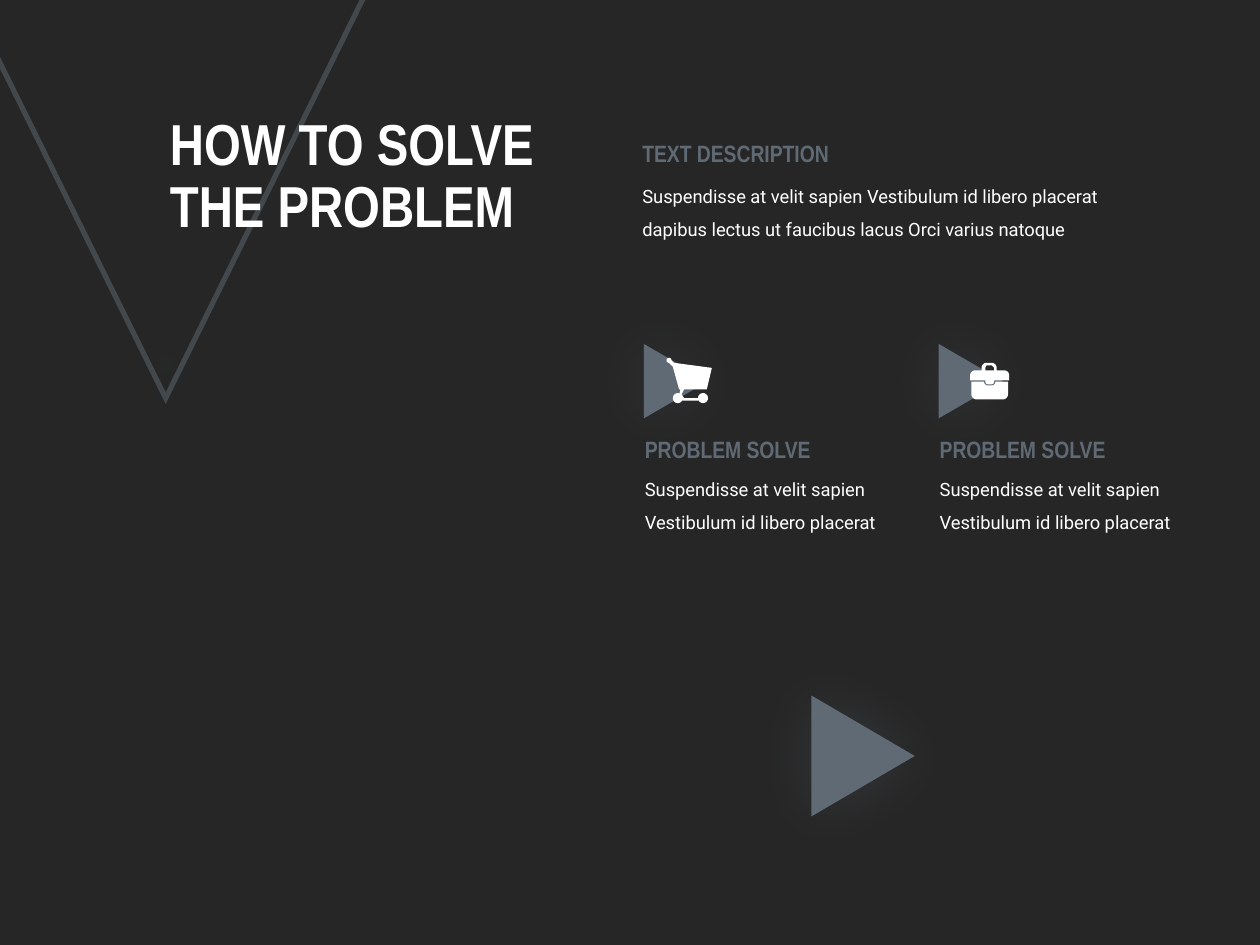
from math import cos, radians, sin

from lxml.etree import SubElement
from pptx import Presentation
from pptx.dml.color import RGBColor
from pptx.enum.shapes import MSO_SHAPE
from pptx.enum.text import MSO_ANCHOR
from pptx.oxml.ns import qn
from pptx.util import Inches, Pt

DARK = RGBColor(0x26, 0x26, 0x26)
SLATE = RGBColor(0x60, 0x6A, 0x74)
WHITE = RGBColor(0xFF, 0xFF, 0xFF)
HEADING_FONT = "Arial Narrow"
BODY_FONT = "Roboto"


def arc(cx, cy, radius, start, end, steps=8):
    """Points along an arc; angles in degrees, clockwise from the right."""
    angles = [radians(start + (end - start) * i / steps) for i in range(steps + 1)]
    return [(cx + radius * cos(a), cy + radius * sin(a)) for a in angles]


def add_alpha(color, percent):
    SubElement(color, qn("a:alpha"), val=str(percent * 1000))


class Deck:
    def __init__(self, prs):
        self.slide = prs.slides.add_slide(prs.slide_layouts[6])
        self.shapes = self.slide.shapes
        fill = self.slide.background.fill
        fill.solid()
        fill.fore_color.rgb = DARK

    def text(self, x, y, w, h, lines, size, font, color=WHITE, bold=False,
             spacing=None, anchor=MSO_ANCHOR.TOP):
        tf = self.shapes.add_textbox(Inches(x), Inches(y), Inches(w), Inches(h)).text_frame
        tf.word_wrap = True
        tf.vertical_anchor = anchor
        p = tf.paragraphs[0]
        p.line_spacing = spacing
        for i, line in enumerate(lines):
            if i:
                p.add_line_break()
            r = p.add_run()
            r.text = line
            r.font.size = Pt(size)
            r.font.name = font
            r.font.bold = bold
            r.font.color.rgb = color

    def heading(self, x, y, w, text):
        self.text(x, y, w, 0.33, [text], 13.5, HEADING_FONT, SLATE, bold=True)

    def body(self, x, y, w, text):
        self.text(x, y, w, 0.6, [text], 10.5, BODY_FONT, spacing=1.5)

    def triangle(self, x, y, w, h, rotation=90, outlined=False):
        sp = self.shapes.add_shape(
            MSO_SHAPE.ISOSCELES_TRIANGLE, Inches(x), Inches(y), Inches(w), Inches(h))
        sp.rotation = rotation
        if outlined:
            sp.fill.background()
            sp.line.color.rgb = SLATE
            sp.line.width = Pt(3)
            ln = sp._element.spPr.find(qn("a:ln"))
            add_alpha(ln.find(".//" + qn("a:srgbClr")), 50)
            SubElement(ln, qn("a:miter"), lim="800000")
        else:
            sp.fill.solid()
            sp.fill.fore_color.rgb = SLATE
            sp.line.fill.background()
        self.glow(sp)

    def glow(self, sp):
        """Soft, centred shadow."""
        sp.shadow.inherit = False
        effects = sp._element.spPr.find(qn("a:effectLst"))
        shadow = SubElement(effects, qn("a:outerShdw"), blurRad=str(Pt(35)),
                            dist="0", dir="0", algn="ctr", rotWithShape="0")
        add_alpha(SubElement(shadow, qn("a:srgbClr"), val=str(SLATE)), 25)

    def icon(self, *contours):
        """White freeform; contours after the first are holes."""
        first, *holes = [[(Inches(x), Inches(y)) for x, y in c] for c in contours]
        builder = self.shapes.build_freeform(*first[0])
        builder.add_line_segments(first[1:], close=True)
        for hole in holes:
            builder.move_to(*hole[0])
            builder.add_line_segments(hole[1:], close=True)
        sp = builder.convert_to_shape()
        sp.fill.solid()
        sp.fill.fore_color.rgb = WHITE
        sp.line.fill.background()
        sp.shadow.inherit = False
        return sp

    def briefcase(self):
        base = self.icon(
            [(7.71, 3.03)]
            + arc(7.84, 3.03, 0.03, 180, 90) + arc(7.87, 3.03, 0.03, 90, 0)
            + [(8, 3.03)]
            + arc(7.96, 3.13, 0.04, 0, 90) + arc(7.75, 3.13, 0.04, 90, 180))
        lid = self.icon(
            arc(7.97, 2.98, 0.04, 0, -90) + [(7.91, 2.94)]
            + arc(7.87, 2.92, 0.04, 0, -90) + arc(7.83, 2.92, 0.04, 270, 180)
            + [(7.79, 2.94)] + arc(7.74, 2.98, 0.04, 270, 180)
            + [(7.7, 3.02), (7.82, 3.02)]
            + arc(7.84, 3.03, 0.02, 180, 90) + arc(7.87, 3.03, 0.02, 90, 0)
            + [(7.89, 3.02), (8.01, 3.02)],
            [(7.82, 2.94), (7.82, 2.92), (7.83, 2.9),
             (7.87, 2.9), (7.89, 2.92), (7.89, 2.94)])
        self.shapes.add_group_shape([base, lid])

    def cart(self):
        left_wheel = arc(5.38, 3.16, 0.04, 25, 290, 16)
        knob = arc(5.31, 2.86, 0.02, 90, 360, 12)
        right_wheel = arc(5.58, 3.16, 0.04, 180, 515, 16)
        self.icon(
            left_wheel + [(5.4, 3.09), (5.39, 3.09), (5.34, 2.91)]
            + knob
            + [(5.35, 2.88), (5.65, 2.92), (5.61, 3.09), (5.43, 3.09),
               (5.41, 3.13), (5.43, 3.16)]
            + right_wheel + [(5.54, 3.18), (5.42, 3.18)])


def main():
    prs = Presentation()
    prs.slide_width, prs.slide_height = Inches(10), Inches(7.5)
    deck = Deck(prs)

    deck.triangle(-0.33, -0.17, 3.29, 3.33, rotation=180, outlined=True)
    deck.text(1.25, 0.62, 4.22, 1.58, ["HOW TO SOLVE", "THE PROBLEM"], 33,
              HEADING_FONT, bold=True, spacing=0.9, anchor=MSO_ANCHOR.MIDDLE)
    deck.body(5, 1.33, 3.85, "Suspendisse at velit sapien Vestibulum id libero placerat "
                             "dapibus lectus ut faucibus lacus Orci varius natoque")
    deck.heading(5, 1.05, 1.84, "TEXT DESCRIPTION")

    for x in (5.02, 7.36):
        deck.triangle(x + 0.05, 2.77, 0.59, 0.51)
        deck.body(x, 3.66, 2.07, "Suspendisse at velit sapien Vestibulum id libero placerat")
        deck.heading(x, 3.4, 1.66, "PROBLEM SOLVE")
    deck.briefcase()
    deck.cart()
    deck.triangle(6.37, 5.59, 0.96, 0.82)

    prs.save("out.pptx")


if __name__ == "__main__":
    main()
